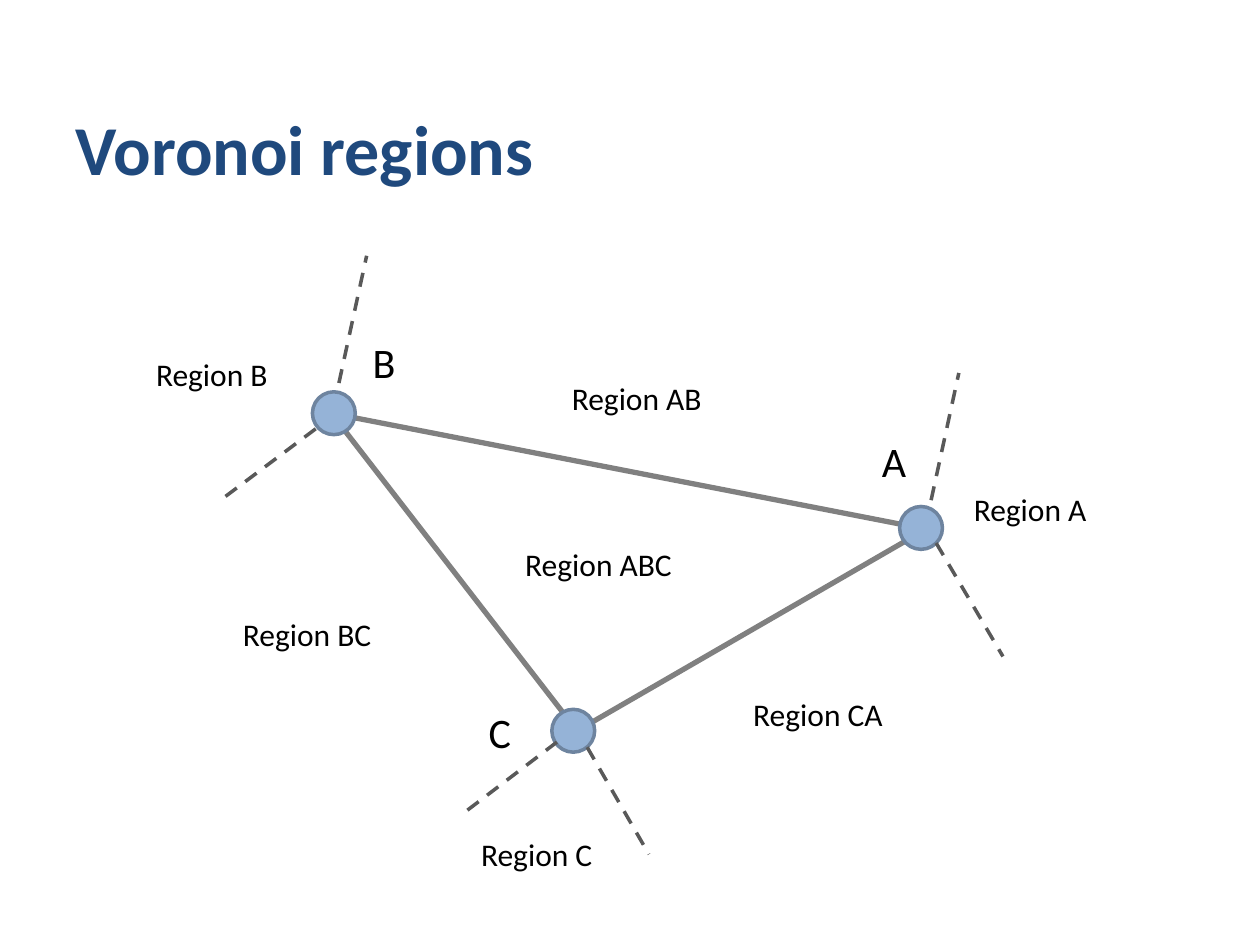
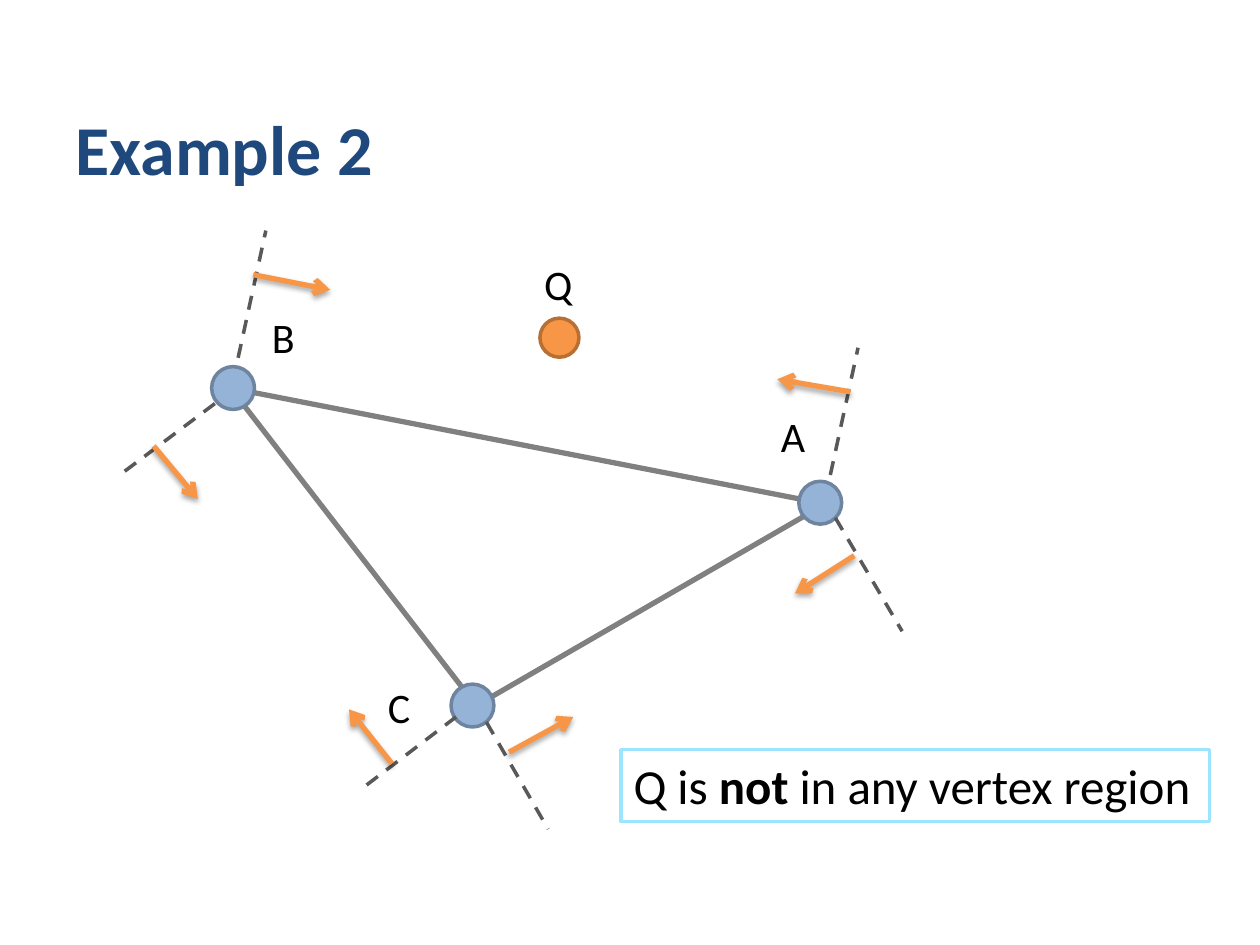
"""Build two slides on the Voronoi regions of a triangle."""
from dataclasses import dataclass

from lxml import etree
from pptx import Presentation
from pptx.dml.color import RGBColor
from pptx.enum.dml import MSO_LINE
from pptx.enum.shapes import MSO_CONNECTOR, MSO_SHAPE
from pptx.enum.text import MSO_ANCHOR, MSO_AUTO_SIZE, PP_ALIGN
from pptx.oxml.ns import qn
from pptx.shapes.autoshape import Shape
from pptx.shapes.connector import Connector
from pptx.slide import Slide
from pptx.util import Inches, Pt

DASH = MSO_LINE.DASH
STRAIGHT = MSO_CONNECTOR.STRAIGHT
OVAL, RECTANGLE = MSO_SHAPE.OVAL, MSO_SHAPE.RECTANGLE
TOP, BOTTOM = MSO_ANCHOR.TOP, MSO_ANCHOR.BOTTOM
FIT, FIXED = MSO_AUTO_SIZE.SHAPE_TO_FIT_TEXT, MSO_AUTO_SIZE.NONE
LEFT = PP_ALIGN.LEFT

FONT = "Calibri"
COLORS = {
    "title": "1F497D",
    "text": "000000",
    "edge": "808080",
    "vertex": "95B3D7",
    "vertex_rim": "6E849F",
    "boundary": "595959",
    "query": "F79646",
    "query_rim": "B76F34",
    "paper": "FFFFFF",
    "answer_rim": "9DE4FF",
    "shadow": "000000",
}


@dataclass(frozen=True)
class Label:
    text: str
    left: float
    top: float
    width: float
    height: float = 0.4
    size: int = 18


@dataclass(frozen=True)
class Segment:
    x1: float
    y1: float
    x2: float
    y2: float


@dataclass(frozen=True)
class Dot:
    x: float
    y: float
    diameter: float = 0.34
    fill: str = "vertex"
    rim: str = "vertex_rim"


VERTICES = [Dot(7.31, 4.19), Dot(2.65, 3.28), Dot(4.55, 5.8)]
CORNERS = [(2.63, 3.28), (4.58, 5.8), (7.35, 4.2)]
VERTEX_NAMES = [
    Label("A", 6.9, 3.41, 0.4, 0.5, 24),
    Label("B", 2.86, 2.62, 0.38, 0.5, 24),
    Label("C", 3.78, 5.56, 0.38, 0.5, 24),
]
BOUNDARIES = [
    Segment(2.69, 3.04, 2.91, 2.03),
    Segment(7.39, 3.97, 7.61, 2.96),
    Segment(1.79, 3.94, 2.51, 3.4),
    Segment(7.43, 4.31, 7.96, 5.21),
    Segment(4.66, 5.93, 5.15, 6.78),
    Segment(3.71, 6.43, 4.42, 5.89),
]
REGIONS = [
    Label("Region AB", 4.44, 2.96, 1.24),
    Label("Region CA", 5.88, 5.47, 1.24),
    Label("Region BC", 1.83, 4.83, 1.23),
    Label("Region ABC", 4.07, 4.28, 1.38),
    Label("Region A", 7.63, 3.84, 1.11),
    Label("Region B", 1.14, 2.77, 1.1),
    Label("Region C", 3.72, 6.58, 1.1),
]
INWARD_ARROWS = [
    Segment(2.01, 2.18, 2.62, 2.3),
    Segment(6.75, 3.11, 6.17, 3.01),
    Segment(1.22, 3.54, 1.57, 3.96),
    Segment(3.11, 6.06, 2.77, 5.63),
    Segment(4.04, 5.97, 4.55, 5.69),
    Segment(6.78, 4.41, 6.31, 4.71),
]
QUERY_POINT = Dot(4.44, 2.68, 0.31, "query", "query_rim")
QUERY_NAME = Label("Q", 4.22, 2, 0.43, 0.5, 24)


def rgb(name: str) -> RGBColor:
    return RGBColor.from_string(COLORS[name])


def write_text(shape: Shape, *runs: str, size: int = 18, color: str = "text",
               bold: tuple[str, ...] = (), anchor: MSO_ANCHOR = TOP,
               wrap: bool = False) -> None:
    frame = shape.text_frame
    frame.word_wrap = wrap
    frame.auto_size = FIXED if wrap else FIT
    frame.vertical_anchor = anchor
    paragraph = frame.paragraphs[0]
    paragraph.alignment = LEFT
    for text in runs:
        run = paragraph.add_run()
        run.text = text
        run.font.name = FONT
        run.font.size = Pt(size)
        run.font.bold = text in bold
        run.font.color.rgb = rgb(color)


def outline(shape: Shape | Connector, color: str, width: float) -> None:
    shape.line.color.rgb = rgb(color)
    shape.line.width = Pt(width)


def add_label(slide: Slide, label: Label, dx: float = 0, dy: float = 0) -> None:
    box = slide.shapes.add_textbox(Inches(label.left + dx), Inches(label.top + dy),
                                   Inches(label.width), Inches(label.height))
    write_text(box, label.text, size=label.size)


def add_dot(slide: Slide, dot: Dot, dx: float = 0, dy: float = 0) -> None:
    radius = dot.diameter / 2
    circle = slide.shapes.add_shape(
        OVAL, Inches(dot.x + dx - radius), Inches(dot.y + dy - radius),
        Inches(dot.diameter), Inches(dot.diameter))
    circle.shadow.inherit = False
    circle.fill.solid()
    circle.fill.fore_color.rgb = rgb(dot.fill)
    outline(circle, dot.rim, 2)


def add_segment(slide: Slide, segment: Segment, color: str, width: float,
                dx: float = 0, dy: float = 0, arrow: bool = False) -> None:
    line = slide.shapes.add_connector(
        STRAIGHT, Inches(segment.x1 + dx), Inches(segment.y1 + dy),
        Inches(segment.x2 + dx), Inches(segment.y2 + dy))
    outline(line, color, width)
    properties = line._element.spPr
    effects = etree.SubElement(properties, qn("a:effectLst"))
    if not arrow:
        line.line.dash_style = DASH
        return
    etree.SubElement(properties.find(qn("a:ln")), qn("a:tailEnd"), type="arrow")
    shadow = etree.SubElement(effects, qn("a:outerShdw"), blurRad=str(Pt(3.1)),
                              dist=str(Pt(1.8)), dir="5400000", rotWithShape="0")
    shade = etree.SubElement(shadow, qn("a:srgbClr"), val=COLORS["shadow"])
    etree.SubElement(shade, qn("a:alpha"), val="35000")


def add_triangle(slide: Slide, dx: float = 0, dy: float = 0) -> None:
    start, *others = [(Inches(x + dx), Inches(y + dy)) for x, y in CORNERS]
    builder = slide.shapes.build_freeform(*start)
    builder.add_line_segments(others, close=True)
    triangle = builder.convert_to_shape()
    triangle.shadow.inherit = False
    triangle.fill.background()
    outline(triangle, "edge", 3)
    for name in VERTEX_NAMES:
        add_label(slide, name, dx, dy)
    for vertex in VERTICES:
        add_dot(slide, vertex, dx, dy)
    for boundary in BOUNDARIES:
        add_segment(slide, boundary, "boundary", 2, dx, dy)


def add_titled_slide(deck: Presentation, title: str) -> Slide:
    slide = deck.slides.add_slide(deck.slide_layouts[6])
    heading = slide.shapes.add_textbox(Inches(0.5), Inches(0.13), Inches(8.25), Inches(1.42))
    write_text(heading, title, size=40, color="title", bold=(title,),
               anchor=BOTTOM, wrap=True)
    return slide


def add_answer(slide: Slide) -> None:
    answer = slide.shapes.add_shape(RECTANGLE, Inches(4.93), Inches(5.95),
                                    Inches(4.67), Inches(0.57))
    answer.shadow.inherit = False
    answer.fill.solid()
    answer.fill.fore_color.rgb = rgb("paper")
    outline(answer, "answer_rim", 2)
    write_text(answer, "Q is ", "not", " in any vertex region", size=28, bold=("not",))


def main() -> None:
    deck = Presentation()
    deck.slide_width, deck.slide_height = Inches(10), Inches(7.5)

    regions = add_titled_slide(deck, "Voronoi regions")
    add_triangle(regions)
    for region in REGIONS:
        add_label(regions, region)

    example = add_titled_slide(deck, "Example 2")
    add_triangle(example, dx=-0.8, dy=-0.2)
    add_answer(example)
    for arrow in INWARD_ARROWS:
        add_segment(example, arrow, "query", 3, arrow=True)
    add_dot(example, QUERY_POINT)
    add_label(example, QUERY_NAME)

    deck.save("out.pptx")


if __name__ == "__main__":
    main()
